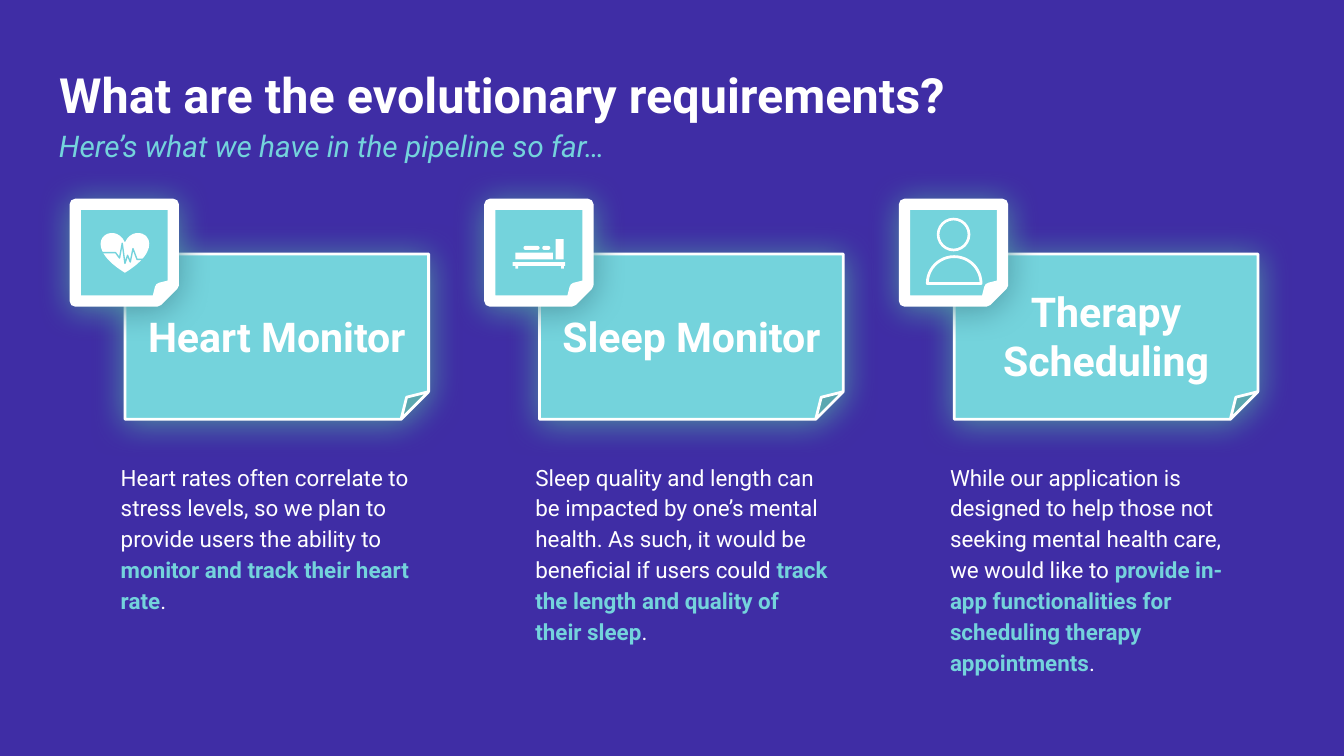
import math

import pptx
import pptx.util
from lxml import etree
from pptx.dml.color import RGBColor
from pptx.enum.shapes import MSO_SHAPE
from pptx.enum.text import MSO_ANCHOR, MSO_AUTO_SIZE, PP_ALIGN
from pptx.oxml.ns import qn
from pptx.util import Inches, Pt

PURPLE = RGBColor(0x3F, 0x2D, 0xA5)
CYAN = RGBColor(0x74, 0xD3, 0xDC)
GLOW = RGBColor(0x4F, 0x97, 0xA3)
WHITE = RGBColor(0xFF, 0xFF, 0xFF)
FONT = "Roboto"

TITLE = "What are the evolutionary requirements?"
SUBTITLE = "Here’s what we have in the pipeline so far…"
CARDS = [
    ("Heart Monitor",
     "Heart rates often correlate to stress levels, so we plan to provide "
     "users the ability to ",
     "monitor and track their heart rate"),
    ("Sleep Monitor",
     "Sleep quality and length can be impacted by one’s mental health. As "
     "such, it would be beneficial if users could ",
     "track the length and quality of their sleep"),
    ("Therapy Scheduling",
     "While our application is designed to help those not seeking mental "
     "health care, we would like to",
     " provide in-app functionalities for scheduling therapy appointments"),
]

# Badge corner of the first card; icon coordinates are offsets from it.
LEFT, TOP = 0.56, 1.52
PITCH = (6.73 - LEFT) / 2
PULSE = [(0.19, 0.36), (0.3, 0.36), (0.33, 0.4), (0.35, 0.29), (0.37, 0.44),
         (0.39, 0.38), (0.41, 0.43), (0.43, 0.33), (0.46, 0.41), (0.55, 0.41)]
BED = [  # left, top, width, height, shape
    (0.19, 0.36, 0.28, 0.05, MSO_SHAPE.RECTANGLE),
    (0.17, 0.43, 0.39, 0.03, MSO_SHAPE.RECTANGLE),
    (0.49, 0.26, 0.06, 0.15, MSO_SHAPE.RECTANGLE),
    (0.19, 0.45, 0.02, 0.03, MSO_SHAPE.RECTANGLE),
    (0.53, 0.45, 0.02, 0.03, MSO_SHAPE.RECTANGLE),
    (0.39, 0.31, 0.06, 0.03, MSO_SHAPE.ROUNDED_RECTANGLE),
    (0.25, 0.31, 0.12, 0.03, MSO_SHAPE.ROUNDED_RECTANGLE),
]


def add_shape(kind, x, y, w, h, fill=WHITE):
    sp = s.shapes.add_shape(kind, Inches(x), Inches(y), Inches(w), Inches(h))
    sp.shadow.inherit = False
    sp.fill.solid()
    sp.fill.fore_color.rgb = fill
    sp.line.fill.background()
    return sp


def add_note(x, y, w, h, border):
    """Folded-corner sheet with a white border and a soft glow."""
    sp = add_shape(MSO_SHAPE.FOLDED_CORNER, x, y, w, h, CYAN)
    sp.line.color.rgb = WHITE
    sp.line.width = Pt(border)
    properties = sp.element.spPr
    etree.SubElement(properties.find(qn("a:ln")), qn("a:round"))
    shadow = etree.SubElement(properties.find(qn("a:effectLst")),
                              qn("a:outerShdw"), blurRad=str(Pt(18)),
                              dist=str(Pt(1.5)), dir="5400000",
                              algn="bl", rotWithShape="0")
    color = etree.SubElement(shadow, qn("a:srgbClr"), val=str(GLOW))
    etree.SubElement(color, qn("a:alpha"), val="95000")


def add_outline(points, color, width, close):
    points = [(Inches(x), Inches(y)) for x, y in points]
    builder = s.shapes.build_freeform(*points[0])
    builder.add_line_segments(points[1:], close=close)
    sp = builder.convert_to_shape()
    sp.shadow.inherit = False
    sp.fill.background()
    sp.line.color.rgb = color
    sp.line.width = Pt(width)


def set_text(sp, box, runs, size, anchor=MSO_ANCHOR.TOP, align=PP_ALIGN.LEFT):
    """Place a text shape and fill it with (text, colour, bold) runs."""
    sp.left, sp.top, sp.width, sp.height = (Inches(v) for v in box)
    tf = sp.text_frame
    tf.word_wrap = True
    tf.auto_size = MSO_AUTO_SIZE.NONE
    tf.vertical_anchor = anchor
    tf.margin_left = tf.margin_right = Inches(0.1)
    tf.margin_top = tf.margin_bottom = Inches(0.1)
    p = tf.paragraphs[0]
    p.alignment = align
    p.font.name, p.font.size = FONT, Pt(size)
    for text, color, bold in runs:
        r = p.add_run()
        r.text = text
        r.font.color.rgb = color
        r.font.bold = bold
    return p


def add_text(*args, **kwargs):
    return set_text(s.shapes.add_textbox(0, 0, 0, 0), *args, **kwargs)


def draw_heart(x, y):
    add_shape(MSO_SHAPE.HEART, x + 0.19, y + 0.21, 0.36, 0.3)
    add_outline([(x + dx, y + dy) for dx, dy in PULSE], CYAN, 0.75, False)


def draw_bed(x, y):
    for dx, dy, w, h, kind in BED:
        sp = add_shape(kind, x + dx, y + dy, w, h)
        if kind == MSO_SHAPE.ROUNDED_RECTANGLE:
            sp.adjustments[0] = 0.5


def draw_person(x, y):
    head = add_shape(MSO_SHAPE.DONUT, x + 0.24, y + 0.1, 0.25, 0.25)
    head.adjustments[0] = 0.08
    angles = [math.pi * i / 24 for i in range(25)]
    add_outline([(x + 0.37 - 0.2 * math.cos(a), y + 0.59 - 0.2 * math.sin(a))
                 for a in angles], WHITE, 1.5, True)


prs = pptx.Presentation()
prs.slide_width, prs.slide_height = Inches(10), Inches(10 * 9 / 16)
s = prs.slides.add_slide(prs.slide_layouts[5])
s.background.fill.solid()
s.background.fill.fore_color.rgb = PURPLE

set_text(s.shapes.title, (0.34, 0.38, 9.32, 0.63), [(TITLE, WHITE, True)], 26)
p = add_text((0.34, 0.89, 9.32, 0.34), [(SUBTITLE, CYAN, False)], 16,
             anchor=MSO_ANCHOR.MIDDLE)
p.font.italic = True
p.line_spacing = 1.15
p.space_after = Pt(12)

ICONS = [draw_heart, draw_bed, draw_person]
for i, ((name, lead, goal), draw_icon) in enumerate(zip(CARDS, ICONS)):
    x = LEFT + i * PITCH
    add_note(x + 0.37, 1.89, 2.26, 1.23, 1.5)
    add_note(x, TOP, 0.73, 0.72, 6)
    add_text((x + 0.37, 1.88, 2.26, 1.24), [(name, WHITE, True)], 22,
             anchor=MSO_ANCHOR.MIDDLE, align=PP_ALIGN.CENTER)
    draw_icon(x, TOP)
    p = add_text((x + 0.24, 3.32, 2.39, 1.71),
                 [(lead, WHITE, False), (goal, CYAN, True),
                  (".", WHITE, False)], 12)
    p.line_spacing = 1.15
    p.space_before = p.space_after = Pt(12)

prs.save("out.pptx")
